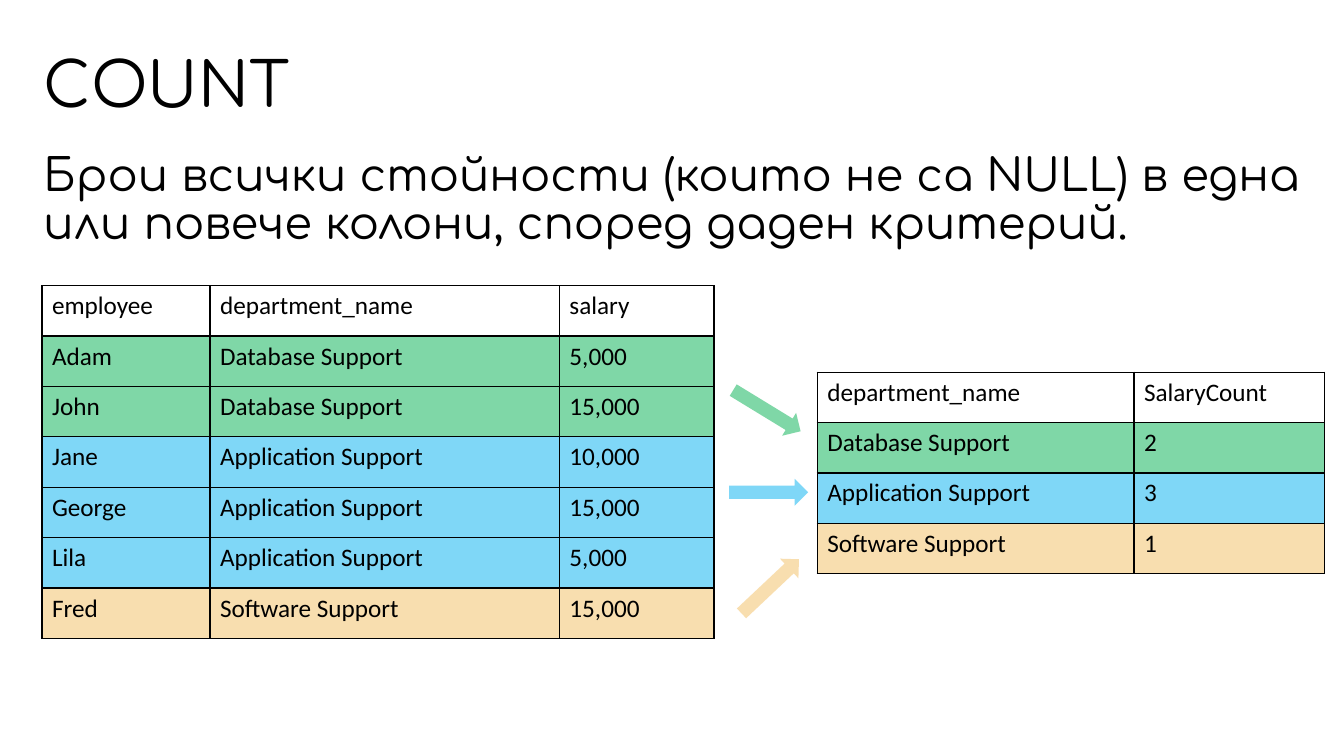
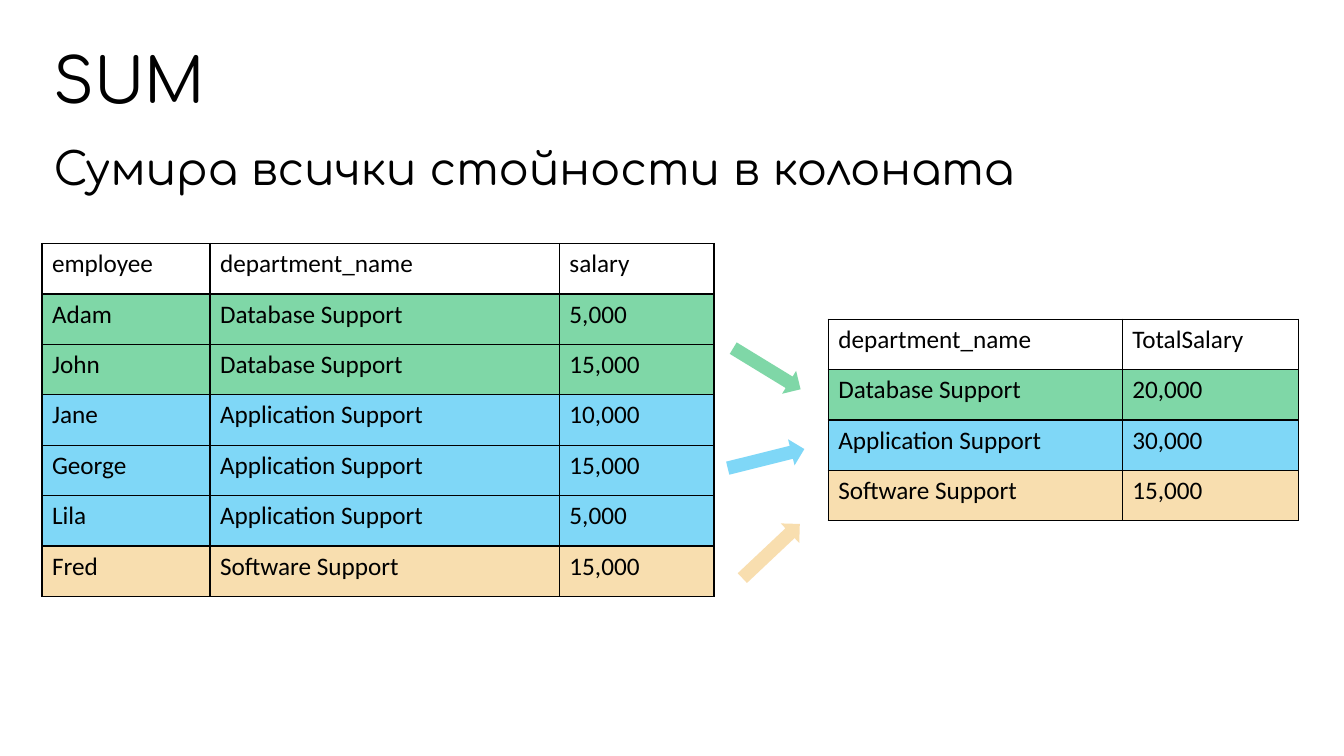
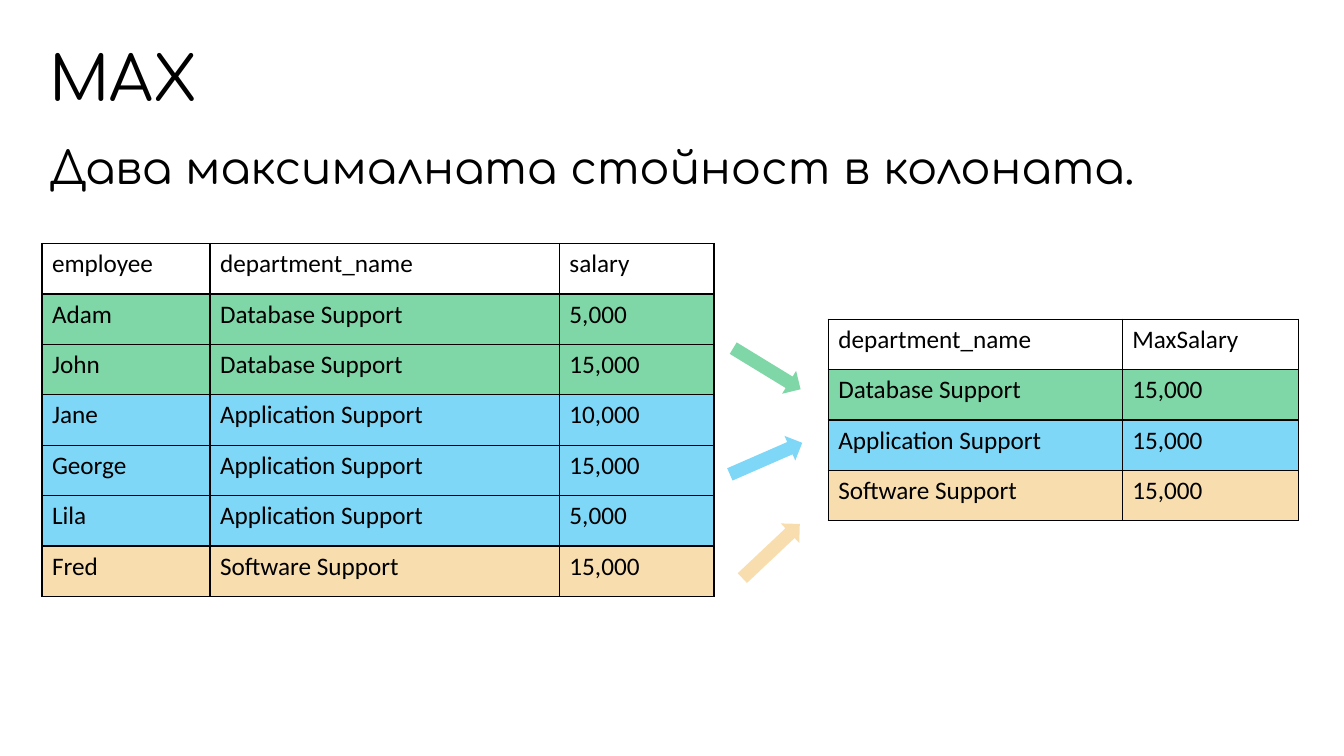
from lxml.etree import SubElement
from pptx import Presentation
from pptx.dml.color import RGBColor
from pptx.enum.shapes import MSO_SHAPE
from pptx.enum.text import MSO_ANCHOR, MSO_AUTO_SIZE, PP_ALIGN
from pptx.oxml.ns import qn
from pptx.util import Inches, Pt

BLACK = RGBColor(0x00, 0x00, 0x00)
GREEN = RGBColor(0x00, 0xB0, 0x50)
BLUE = RGBColor(0x00, 0xB0, 0xF0)
SAND = RGBColor(0xF3, 0xBE, 0x60)

DATABASE, APPLICATION, SOFTWARE = "Database Support", "Application Support", "Software Support"
DEPARTMENT_COLORS = {DATABASE: GREEN, APPLICATION: BLUE, SOFTWARE: SAND}

EMPLOYEES = [
    ("employee", "department_name", "salary"),
    ("Adam", DATABASE, "5,000"),
    ("John", DATABASE, "15,000"),
    ("Jane", APPLICATION, "10,000"),
    ("George", APPLICATION, "15,000"),
    ("Lila", APPLICATION, "5,000"),
    ("Fred", SOFTWARE, "15,000"),
]
EMPLOYEE_COLUMNS = (20, 41.6, 18.4)
TABLE_LEFT = 5
ROW_HEIGHT = 6
ARROW_SIZE = (9.4, 3.2)


class Lesson:
    """Deck on a grid of 160 columns by 90 rows, each a twelfth of an inch."""

    COLUMNS, ROWS = 160, 90
    HEADING_FONT, TABLE_FONT = "Comfortaa", "Calibri"

    def __init__(self):
        self.deck = Presentation()
        self.deck.slide_width = self.grid(self.COLUMNS)
        self.deck.slide_height = self.grid(self.ROWS)
        self.page = None

    @staticmethod
    def grid(count):
        return Inches(count / 12)

    def area(self, *counts):
        return [self.grid(count) for count in counts]

    def format_text(self, frame, size, font_name, spacing=1.0):
        frame.word_wrap = True
        for para in frame.paragraphs:
            para.alignment = PP_ALIGN.LEFT
            para.line_spacing = spacing
            for span in para.runs:
                span.font.size = Pt(size)
                span.font.name = font_name
                span.font.color.rgb = BLACK

    def fill_half(self, fill, color):
        """Fill with a colour at 50 % opacity."""
        fill.solid()
        fill.fore_color.rgb = color
        color_element = fill._xPr.find(qn("a:solidFill"))[0]
        SubElement(color_element, qn("a:alpha"), val="50000")

    def add_page(self, title, area):
        self.page = self.deck.slides.add_slide(self.deck.slide_layouts[5])
        heading = self.page.shapes.title
        heading.left, heading.top, heading.width, heading.height = self.area(*area)
        frame = heading.text_frame
        frame.text = title
        frame.auto_size = MSO_AUTO_SIZE.NONE
        frame.vertical_anchor = MSO_ANCHOR.MIDDLE
        self.format_text(frame, 44, self.HEADING_FONT, 0.9)

    def add_body(self, text, area, spacing):
        box = self.page.shapes.add_textbox(*self.area(*area))
        box.text_frame.text = text
        self.format_text(box.text_frame, 32, self.HEADING_FONT, spacing)

    def add_borders(self, cell):
        properties = cell._tc.get_or_add_tcPr()
        for side in ("lnL", "lnR", "lnT", "lnB"):
            line = SubElement(properties, qn(f"a:{side}"), w=str(Pt(1)))
            SubElement(SubElement(line, qn("a:solidFill")), qn("a:srgbClr"), val=str(BLACK))

    def add_table(self, rows, left, top, columns):
        """Add a table whose rows take the colour of their department."""
        place = self.area(left, top, sum(columns), ROW_HEIGHT * len(rows))
        table = self.page.shapes.add_table(len(rows), len(columns), *place).table
        table.first_row = table.horz_banding = False
        for column, width in zip(table.columns, columns):
            column.width = self.grid(width)
        for table_row, values in zip(table.rows, rows):
            table_row.height = self.grid(ROW_HEIGHT)
            color = next((DEPARTMENT_COLORS[v] for v in values if v in DEPARTMENT_COLORS), None)
            for cell, value in zip(table_row.cells, values):
                cell.text = value
                self.format_text(cell.text_frame, 18, self.TABLE_FONT)
                self.add_borders(cell)
                if color is None:
                    cell.fill.background()
                else:
                    self.fill_half(cell.fill, color)

    def add_arrow(self, left, top, rotation, color):
        arrow = self.page.shapes.add_shape(
            MSO_SHAPE.RIGHT_ARROW, *self.area(left, top, *ARROW_SIZE))
        arrow.rotation = rotation
        arrow.shadow.inherit = False
        arrow.line.fill.background()
        self.fill_half(arrow.fill, color)

    def add_aggregate(self, title, title_area, body, body_area, table_top, result,
                      result_place, result_columns, arrows, spacing=1.0):
        """Add a page that turns the employee table into one value per department."""
        self.add_page(title, title_area)
        self.add_table(EMPLOYEES, TABLE_LEFT, table_top, EMPLOYEE_COLUMNS)
        result_name, *values = result
        result_rows = [("department_name", result_name), *zip(DEPARTMENT_COLORS, values)]
        self.add_table(result_rows, *result_place, result_columns)
        for arrow, color in zip(arrows, DEPARTMENT_COLORS.values()):
            self.add_arrow(*arrow, color)
        self.add_body(body, body_area, spacing)


def salary_layout(blue_rotation):
    """Places shared by the pages whose result is a salary."""
    return dict(
        table_top=29, result_place=(98.6, 38), result_columns=(35, 21),
        arrows=[(86.6, 42.3, 31.4), (86.5, 53, blue_rotation), (87.1, 64, 316.7)])


def main():
    lesson = Lesson()
    lesson.add_aggregate(
        "COUNT", (4, 3.2, 125.6, 14.5),
        "Брои всички стойности (които не са NULL) в една или повече колони, "
        "според даден критерий.", (4, 17.6, 155, 13.8),
        table_top=34, result=("SalaryCount", "2", "3", "1"),
        result_place=(97.3, 44.3), result_columns=(37.7, 22.7),
        arrows=[(86.6, 47.3, 31.4), (86.8, 57, 0), (87, 68.2, 316.7)], spacing=0.9)
    lesson.add_aggregate(
        "SUM", (5.2, 5, 133.4, 10),
        "Сумира всички стойности в колоната", (5.2, 16.2, 144.5, 10.2),
        result=("TotalSalary", "20,000", "30,000", "15,000"), **salary_layout(346))
    lesson.add_aggregate(
        "MAX", (4.7, 1, 138, 17.4),
        "Дава максималната стойност в колоната.", (4.7, 16.1, 150.5, 13),
        result=("MaxSalary", "15,000", "15,000", "15,000"), **salary_layout(336.4))
    lesson.deck.save("out.pptx")


if __name__ == "__main__":
    main()
